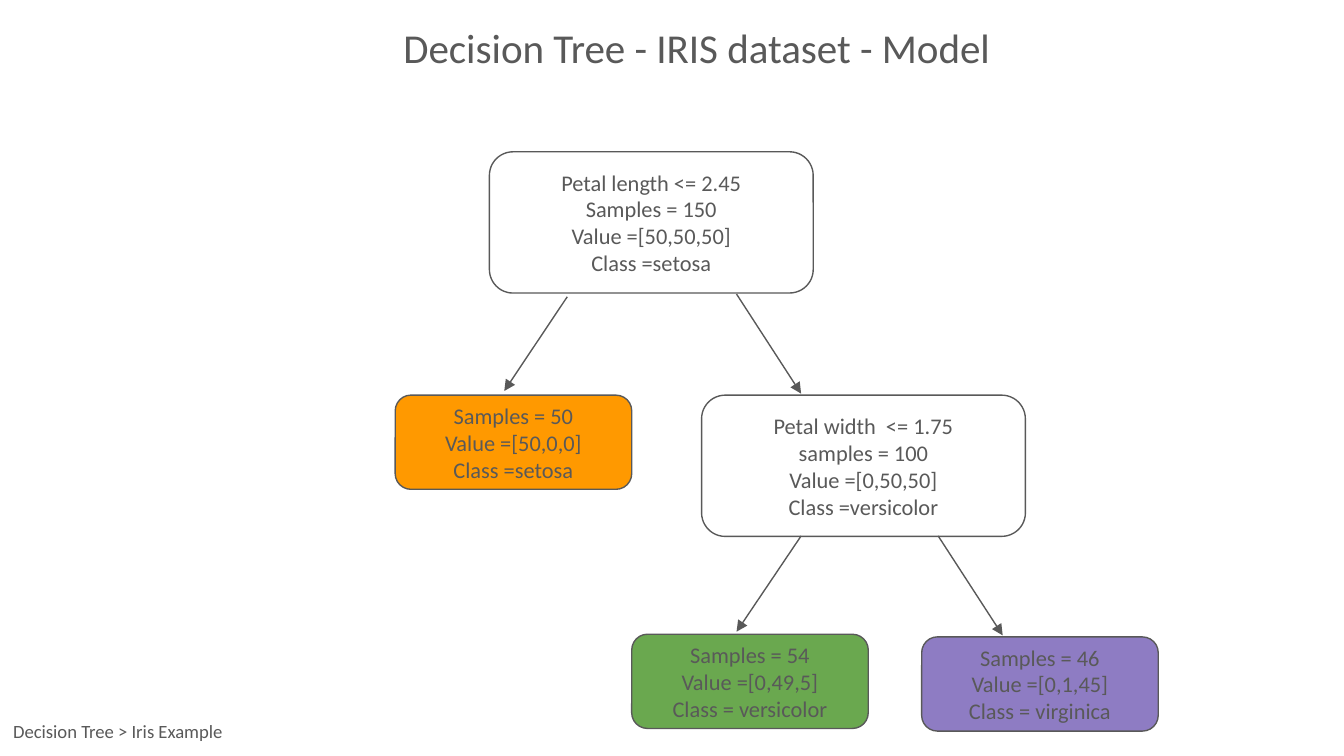
from lxml import etree
from pptx import Presentation
from pptx import util as u
from pptx.dml.color import RGBColor
from pptx.enum import shapes, text
from pptx.oxml import ns

GREY = RGBColor(0x59, 0x59, 0x59)
WHITE = RGBColor(0xFF, 0xFF, 0xFF)
ORANGE = RGBColor(0xFF, 0x99, 0x00)
GREEN = RGBColor(0x6A, 0xA8, 0x4F)
PURPLE = RGBColor(0x8E, 0x7C, 0xC3)

SPLIT_SIZE = (6.12, 2.67)
LEAF_SIZE = (4.47, 1.78)

NODES = [
    ((9.25, 2.87), SPLIT_SIZE, WHITE,
     ["Petal length <= 2.45", "Samples = 150", "Value =[50,50,50]", "Class =setosa"]),
    ((7.47, 7.47), LEAF_SIZE, ORANGE,
     ["Samples = 50", "Value =[50,0,0]", "Class =setosa"]),
    ((13.26, 7.47), SPLIT_SIZE, WHITE,
     ["Petal width  <= 1.75", "samples = 100", "Value =[0,50,50]", "Class =versicolor"]),
    ((11.94, 11.99), LEAF_SIZE, GREEN,
     ["Samples = 54", "Value =[0,49,5]", "Class = versicolor"]),
    ((17.42, 12.04), LEAF_SIZE, PURPLE,
     ["Samples = 46", "Value =[0,1,45]", "Class = virginica"]),
]

BRANCHES = [
    ((10.72, 5.61), (9.53, 7.39)),
    ((13.92, 5.56), (15.14, 7.44)),
    ((15.14, 10.13), (13.92, 11.94)),
    ((17.73, 10.13), (18.95, 12.01)),
]


def set_format(target, values):
    for name, value in values.items():
        setattr(target, name, value)


def to_cm(*numbers):
    return [u.Cm(number) for number in numbers]


def draw_outline(line):
    line.color.rgb = GREY
    line.width = u.Pt(0.75)


def write_lines(box, lines, size, anchor, paragraph_format):
    frame = box.text_frame
    margins = dict.fromkeys(
        ("margin_left", "margin_top", "margin_right", "margin_bottom"), u.Cm(0.25))
    set_format(frame, {"word_wrap": True, "vertical_anchor": anchor, **margins})
    for index, line in enumerate(lines):
        para = frame.add_paragraph() if index else frame.paragraphs[0]
        set_format(para, paragraph_format)
        span = para.add_run()
        span.text = line
        set_format(span.font, {"name": "Calibri", "size": u.Pt(size)})
        span.font.color.rgb = GREY


def add_node(page, position, size, color, lines):
    node = page.shapes.add_shape(
        shapes.MSO_SHAPE.ROUNDED_RECTANGLE, *to_cm(*position, *size))
    node.shadow.inherit = False
    node.fill.solid()
    node.fill.fore_color.rgb = color
    draw_outline(node.line)
    write_lines(node, lines, 12, text.MSO_ANCHOR.MIDDLE,
                {"alignment": text.PP_ALIGN.CENTER})


def add_branch(page, start, end):
    branch = page.shapes.add_connector(
        shapes.MSO_CONNECTOR.STRAIGHT, *to_cm(*start, *end))
    draw_outline(branch.line)
    etree.SubElement(branch.line._get_or_add_ln(), ns.qn("a:tailEnd"), type="triangle")
    etree.SubElement(branch._element.spPr, ns.qn("a:effectLst"))


def add_label(page, bounds, line, size, paragraph_format):
    label = page.shapes.add_textbox(*to_cm(*bounds))
    write_lines(label, [line], size, text.MSO_ANCHOR.TOP, paragraph_format)


def main():
    deck = Presentation()
    set_format(deck, {"slide_width": u.Cm(25.4), "slide_height": u.Cm(14.29)})
    page = deck.slides.add_slide(deck.slide_layouts[6])
    for node in NODES:
        add_node(page, *node)
    for branch in BRANCHES:
        add_branch(page, *branch)
    add_label(page, (0, 13.39, 5.97, 0.76), "Decision Tree > Iris Example", 10,
              {"alignment": text.PP_ALIGN.LEFT})
    add_label(page, (2.49, 0, 21.36, 1.47), "Decision Tree - IRIS dataset - Model", 22,
              {"alignment": text.PP_ALIGN.CENTER, "line_spacing": 1.18})
    deck.save("out.pptx")


if __name__ == "__main__":
    main()
